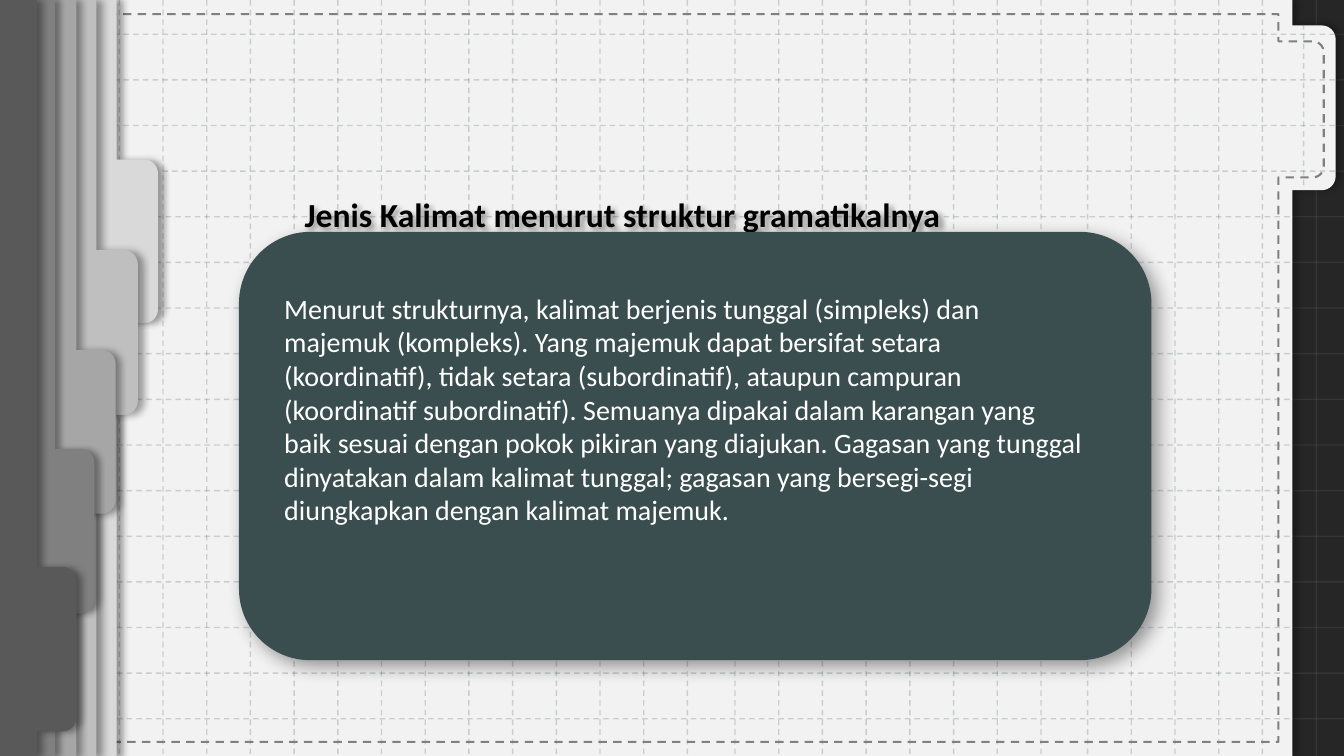
import math
import pptx
import pptx.util
import pptx.dml.color
import pptx.enum.dml
import pptx.enum.shapes
import pptx.enum.text
import pptx.oxml
import pptx.oxml.ns

Inches, Pt = pptx.util.Inches, pptx.util.Pt
qn = pptx.oxml.ns.qn
DASH = pptx.enum.dml.MSO_LINE.DASH

WIDE, HIGH = 13.33, 7.5
TITLE = "Jenis Kalimat menurut\u00a0struktur gramatikalnya".replace("\u00a0", " ")
BODY = (
    "Menurut strukturnya, kalimat berjenis tunggal (simpleks) dan majemuk "
    "(kompleks). Yang majemuk dapat bersifat setara (koordinatif), tidak setara "
    "(subordinatif), ataupun campuran (koordinatif subordinatif). Semuanya dipakai "
    "dalam karangan yang baik sesuai dengan pokok pikiran yang diajukan. Gagasan "
    "yang tunggal dinyatakan dalam kalimat tunggal; gagasan yang bersegi-segi "
    "diungkapkan dengan kalimat majemuk."
)
SLATE, GRAY = "3A4E4F", "808080"
PAGE = 12.92
# edge, tab right, tab top, tab bottom, colour
PAPER = (12.81, 13.24, 0.26, 1.88, "F2F2F2")
TABS = [
    (1.15, 1.56, 1.59, 3.2, "D9D9D9"),
    (0.95, 1.36, 2.49, 4.11, "BFBFBF"),
    (0.75, 1.14, 3.48, 5.09, "A6A6A6"),
    (0.54, 0.93, 4.46, 6.08, "808080"),
    (0.36, 0.75, 5.63, 7.25, "595959"),
]
STITCH = (12.68, 13.13, 0.41, 1.76, GRAY)
COLS = [0.33 + 0.452 * i + 0.04 * (i >= 16) + 0.03 * (i >= 24) for i in range(29)]
ROWS = [0.34 + 0.4527 * i for i in range(16)]


def rgb(code):
    return pptx.dml.color.RGBColor.from_string(code)


def effect(item, blur=0, dist=0, turn=0, alpha=0):
    props = item.element.find(qn("p:spPr"))
    old = props.find(qn("a:effectLst"))
    if old is not None:
        props.remove(old)
    glow = ""
    if alpha:
        glow = (
            f'<a:outerShdw blurRad="{Pt(blur)}" dist="{Pt(dist)}" '
            f'dir="{turn * 60000}" algn="tl" rotWithShape="0">'
            f'<a:srgbClr val="000000"><a:alpha val="{alpha * 1000}"/>'
            "</a:srgbClr></a:outerShdw>"
        )
    space = pptx.oxml.ns.nsdecls("a")
    props.append(pptx.oxml.parse_xml(f"<a:effectLst {space}>{glow}</a:effectLst>"))


def rule(group, ends, color, alpha, dash=None):
    kind = pptx.enum.shapes.MSO_CONNECTOR.STRAIGHT
    line = group.shapes.add_connector(kind, *[Inches(v) for v in ends])
    line.line.color.rgb = rgb(color)
    line.line.width = Pt(1)
    if dash:
        line.line.dash_style = dash
    tint = next(line.element.iter(qn("a:srgbClr")))
    tint.append(pptx.oxml.parse_xml(
        f'<a:alpha {pptx.oxml.ns.nsdecls("a")} val="{alpha * 1000}"/>'))
    effect(line)


def grid(slide, cols, reach, color, alpha, dash=None):
    group = slide.shapes.add_group_shape()
    for x in cols:
        rule(group, (x, 0, x, HIGH), color, alpha, dash)
    for y in ROWS:
        rule(group, (reach(y), y, 0, y), color, alpha, dash)
    return group


def arc(x, y, size, start):
    turns = [math.radians(start + 90 * i / 8) for i in range(9)]
    return [(x + size * math.cos(t), y + size * math.sin(t)) for t in turns]


def folder(slide, part, top=0, base=HIGH, size=0.13):
    edge, right, upper, lower, color = part
    left = edge - PAGE
    dots = [(left, top), (edge, top), (edge, upper)]
    dots += arc(right - size, upper + size, size, -90)
    dots += arc(right - size, lower - size, size, 0)
    dots += [(edge, lower), (edge, base), (left, base)]
    spots = [(Inches(x), Inches(y)) for x, y in dots]
    pen = slide.shapes.build_freeform(*spots[0])
    pen.add_line_segments(spots[1:], close=True)
    sheet = pen.convert_to_shape()
    sheet.line.color.rgb = rgb(color)
    sheet.line.width = Pt(1)
    return sheet


def sheet(slide, part):
    page = folder(slide, part)
    page.fill.solid()
    page.fill.fore_color.rgb = rgb(part[-1])
    effect(page, 5, 3, 0, 37)


def write(box, text, size, color, bold, wrap):
    frame = box.text_frame
    frame.word_wrap = wrap
    frame.auto_size = pptx.enum.text.MSO_AUTO_SIZE.SHAPE_TO_FIT_TEXT
    frame.vertical_anchor = pptx.enum.text.MSO_ANCHOR.TOP
    para = frame.paragraphs[0]
    para.alignment = pptx.enum.text.PP_ALIGN.LEFT
    run = para.add_run()
    run.text = text
    font = run.font
    font.name, font.size, font.bold = "Calibri", Pt(size), bold
    font.color.rgb = rgb(color)


def place(box, *spot):
    box.left, box.top, box.width, box.height = [Inches(v) for v in spot]


def main():
    deck = pptx.Presentation()
    deck.slide_width, deck.slide_height = Inches(WIDE), Inches(HIGH)
    slide = deck.slides.add_slide(deck.slide_layouts[5])
    slide.background.fill.solid()
    slide.background.fill.fore_color.rgb = rgb("262626")

    grid(slide, COLS, lambda y: WIDE, GRAY, 16)
    sheet(slide, PAPER)
    mesh = grid(slide, [x * 0.959 for x in COLS],
                lambda y: 13.24 if y < 1.88 else 12.79, SLATE, 21, DASH)
    rule(mesh, (12.93, 0.24, 12.93, 1.88), SLATE, 21, DASH)

    title = slide.shapes.title
    slide.shapes.element.append(title.element)
    place(title, 2.92, 1.87, 6.57, 0.5)
    write(title, TITLE, 24, "000000", True, False)
    effect(title, 4, 3, 45, 40)

    stitch = folder(slide, STITCH, 0.14, 7.36, 0.11)
    stitch.fill.background()
    stitch.line.width = Pt(1.5)
    stitch.line.dash_style = DASH
    effect(stitch)
    for tab in TABS:
        sheet(slide, tab)

    card = slide.shapes.add_shape(
        pptx.enum.shapes.MSO_SHAPE.ROUNDED_RECTANGLE,
        Inches(2.37), Inches(2.3), Inches(9.05), Inches(4.25))
    card.fill.solid()
    card.fill.fore_color.rgb = rgb(SLATE)
    card.line.fill.background()
    effect(card, 14, 7, 45, 40)

    spot = [Inches(v) for v in (2.72, 2.84, 8.14, 2.46)]
    write(slide.shapes.add_textbox(*spot), BODY, 20, "FFFFFF", False, True)
    deck.save("out.pptx")


if __name__ == "__main__":
    main()
